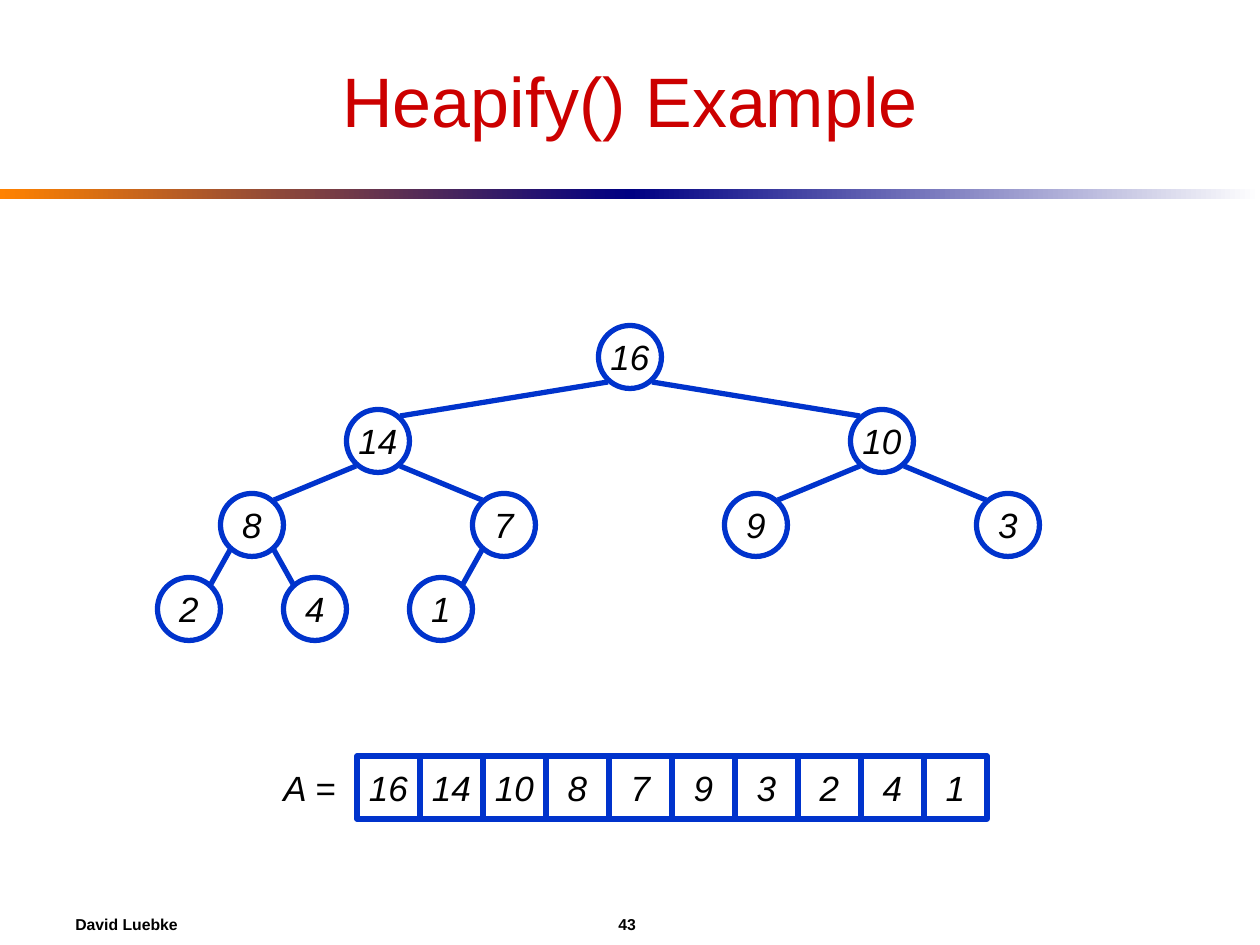
"""Build the Heapify() example slide: a ten-node heap above its array."""
from lxml import etree
from pptx import Presentation
from pptx.dml.color import RGBColor
from pptx.enum.shapes import MSO_CONNECTOR, MSO_SHAPE
from pptx.enum.text import MSO_ANCHOR, PP_ALIGN
from pptx.oxml.ns import qn
from pptx.util import Inches, Pt

PX = Inches(10) / 1260
STRAIGHT = MSO_CONNECTOR.STRAIGHT
OVAL, RECTANGLE = MSO_SHAPE.OVAL, MSO_SHAPE.RECTANGLE
MIDDLE = MSO_ANCHOR.MIDDLE
LEFT, CENTER = PP_ALIGN.LEFT, PP_ALIGN.CENTER
COLORS = {
    "title": "CC0000",
    "text": "000000",
    "outline": "0033CC",
    "fill": "FFFFFF",
    "orange": "FF8200",
    "navy": "000082",
    "white": "FFFFFF",
}
HEAP = [16, 14, 10, 8, 7, 9, 3, 2, 4, 1]
SIZE = 63
TREE_LEFT, TREE_WIDTH = 126, 1008
ROOT_Y, LEVEL_STEP = 357, 84
EDGE_DX, EDGE_DY = 22, 25
ARRAY_LEFT, ARRAY_TOP = 357, 756


def write(shape, text, size, color="text", align=CENTER, bold=False, italic=False):
    frame = shape.text_frame
    frame.text = text
    frame.word_wrap = False
    frame.vertical_anchor = MIDDLE
    paragraph = frame.paragraphs[0]
    paragraph.alignment = align
    font = paragraph.runs[0].font
    font.name = "Arial"
    font.size = Pt(size)
    font.bold = bold
    font.italic = italic
    font.color.rgb = RGBColor.from_string(COLORS[color])


def add_value(kind, left, top, value):
    box = slide.shapes.add_shape(kind, *[round(v * PX) for v in (left, top, SIZE, SIZE)])
    box.shadow.inherit = False
    box.fill.solid()
    box.fill.fore_color.rgb = RGBColor.from_string(COLORS["fill"])
    box.line.color.rgb = RGBColor.from_string(COLORS["outline"])
    box.line.width = Pt(3)
    write(box, str(value), 20, italic=True)


deck = Presentation()
deck.slide_width, deck.slide_height = round(1260 * PX), round(945 * PX)
slide = deck.slides.add_slide(deck.slide_layouts[6])

for left, start, end in [(0, "orange", "navy"), (630, "navy", "white")]:
    band = slide.shapes.add_shape(
        RECTANGLE, *[round(v * PX) for v in (left, 189, 630, 10)])
    band.shadow.inherit = False
    band.line.fill.background()
    band.fill.gradient()
    band.fill.gradient_angle = 0
    for stop, color in zip(band.fill.gradient_stops, (start, end)):
        stop.color.rgb = RGBColor.from_string(COLORS[color])

labels = [
    ((63, 903, 504, 42), "David Luebke", 9, {"align": LEFT, "bold": True}),
    ((606, 903, 63, 42), "43", 9, {"align": LEFT, "bold": True}),
    ((63, 32, 1134, 136), "Heapify() Example", 40, {"color": "title"}),
    ((262, ARRAY_TOP, 95, SIZE), "A =", 20, {"italic": True}),
]
for area, text, size, style in labels:
    label = slide.shapes.add_textbox(*[round(v * PX) for v in area])
    write(label, text, size, **style)

centers = []
for position, value in enumerate(HEAP, start=1):
    level = position.bit_length() - 1
    slot = position - 2 ** level
    x = TREE_LEFT + (2 * slot + 1) * TREE_WIDTH // 2 ** (level + 1)
    y = ROOT_Y + level * LEVEL_STEP
    centers.append((x, y))
    add_value(OVAL, x - SIZE / 2, y - SIZE / 2, value)

for child in range(1, len(HEAP)):
    parent_x, parent_y = centers[(child - 1) // 2]
    child_x, child_y = centers[child]
    dx = EDGE_DX if child_x > parent_x else -EDGE_DX
    ends = (parent_x + dx, parent_y + EDGE_DY, child_x - dx, child_y - EDGE_DY)
    edge = slide.shapes.add_connector(STRAIGHT, *[round(v * PX) for v in ends])
    edge.line.color.rgb = RGBColor.from_string(COLORS["outline"])
    edge.line.width = Pt(3)
    etree.SubElement(edge._element.spPr, qn("a:effectLst"))

for column, value in enumerate(HEAP):
    add_value(RECTANGLE, ARRAY_LEFT + column * SIZE, ARRAY_TOP, value)

deck.save("out.pptx")
